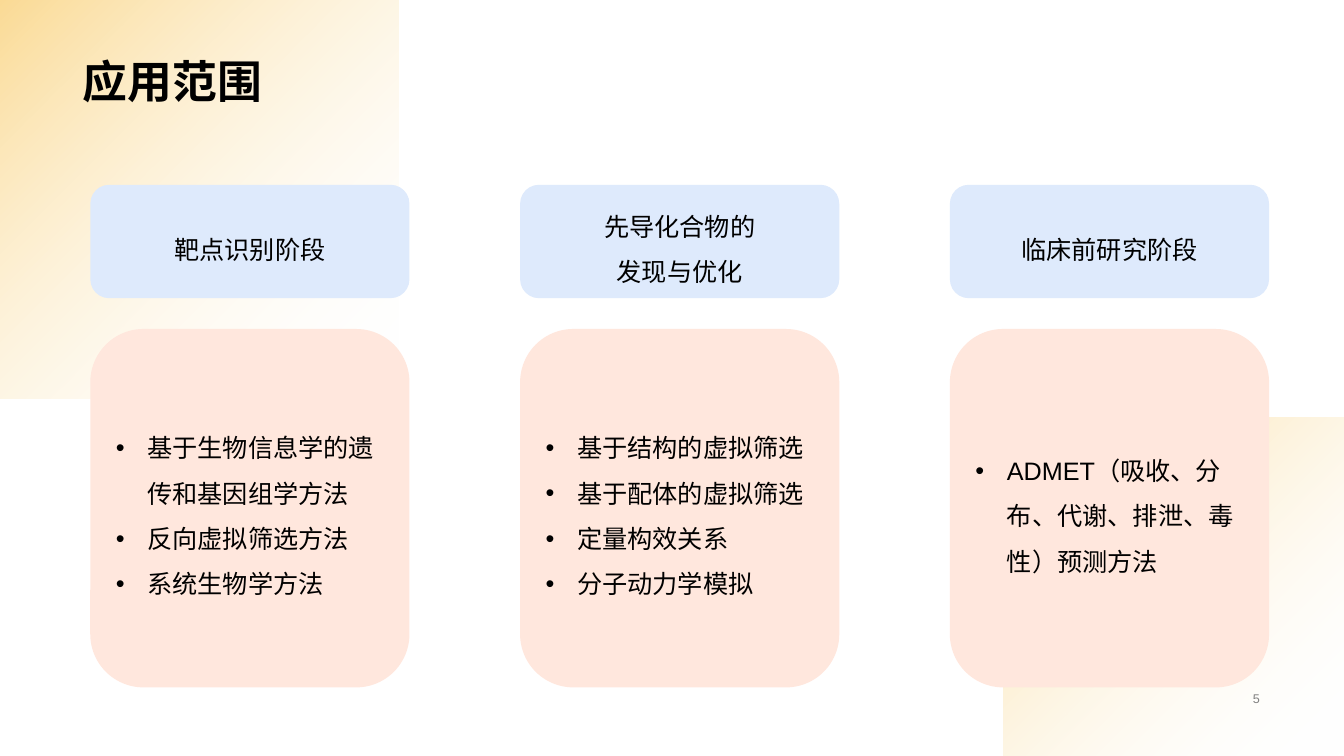
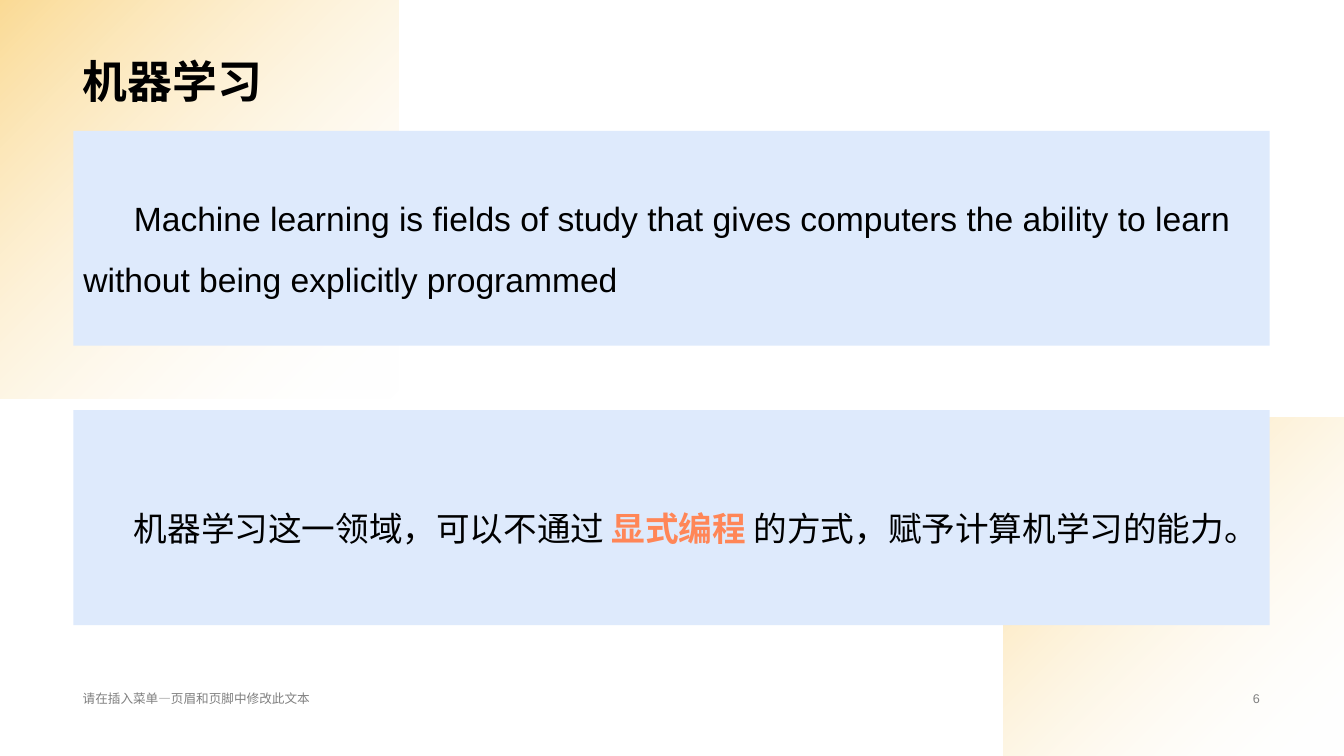
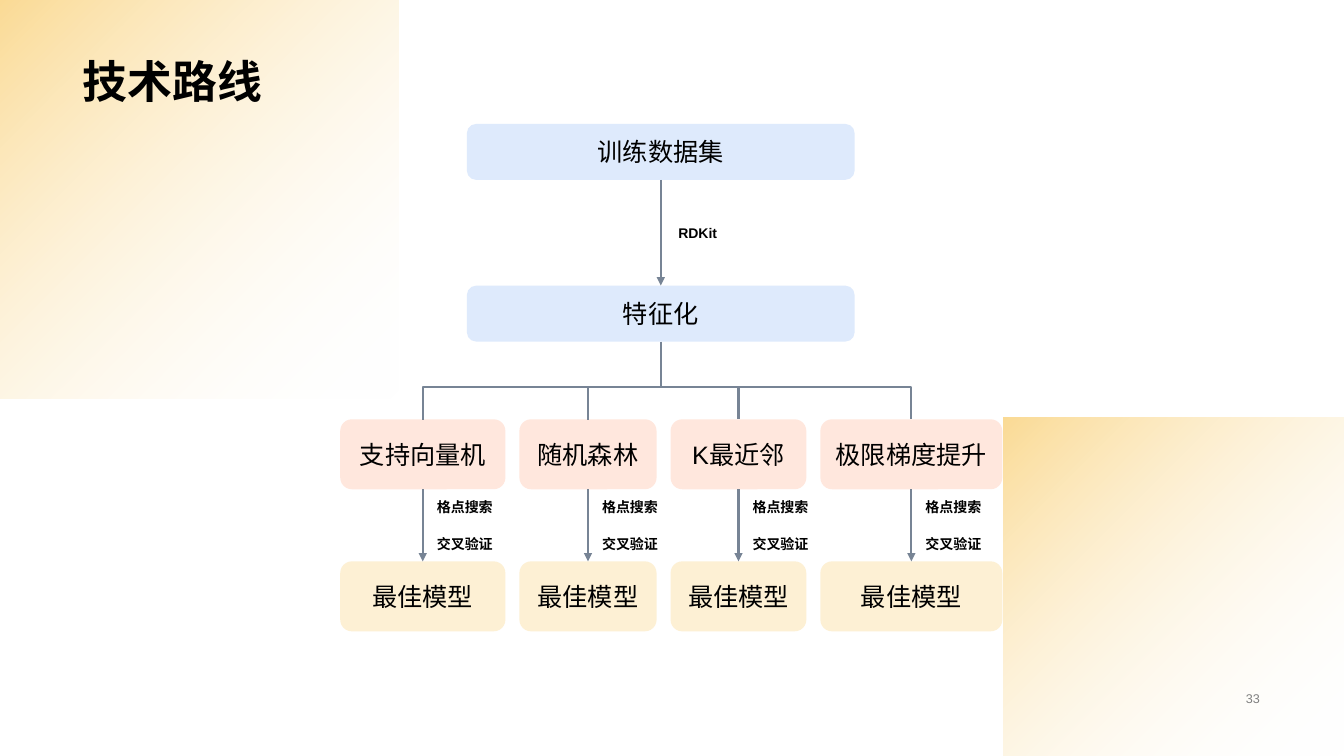
from pptx import Presentation
from pptx.dml.color import RGBColor
from pptx.enum.shapes import MSO_CONNECTOR, MSO_SHAPE
from pptx.enum.text import MSO_ANCHOR, MSO_AUTO_SIZE, PP_ALIGN
from pptx.oxml import parse_xml
from pptx.oxml.ns import nsdecls, qn
from pptx.util import Pt

RECT, ROUND = MSO_SHAPE.RECTANGLE, MSO_SHAPE.ROUNDED_RECTANGLE
STRAIGHT, ELBOW = MSO_CONNECTOR.STRAIGHT, MSO_CONNECTOR.ELBOW
LEFT, CENTER, RIGHT = PP_ALIGN.LEFT, PP_ALIGN.CENTER, PP_ALIGN.RIGHT
MIDDLE, BOTTOM = MSO_ANCHOR.MIDDLE, MSO_ANCHOR.BOTTOM
NO_FIT = MSO_AUTO_SIZE.NONE

FONT = "Arial"
BLACK, GRAY, WHITE = "000000", "808080", "FFFFFF"
BLUE, PINK, CREAM = "DEEAFC", "FFE7DD", "FDF0D4"
GOLD, ORANGE, SLATE = "F7B629", "FF8657", "778495"
SLIDE_W, SLIDE_H = 960, 540
TOP_SITE, BOTTOM_SITE = 0, 2


def rgb(color):
    return RGBColor.from_string(color)


def points(*lengths):
    return [Pt(length) for length in lengths]


def write(frame, paragraphs, size=18, color=BLACK, bold=False, align=LEFT,
          anchor=MIDDLE, spacing=1.0, indent=0, bullet=False):
    """Each paragraph is a string or a list of (text, color, bold) runs."""
    frame.word_wrap = True
    frame.auto_size = NO_FIT
    frame.vertical_anchor = anchor
    for index, content in enumerate(paragraphs):
        paragraph = frame.add_paragraph() if index else frame.paragraphs[0]
        paragraph.alignment = align
        paragraph.line_spacing = spacing
        properties = paragraph._p.get_or_add_pPr()
        if bullet:
            properties.set("marL", str(Pt(indent)))
            properties.set("indent", str(-Pt(indent)))
            properties.append(parse_xml(f'<a:buFont {nsdecls("a")} typeface="{FONT}"/>'))
            properties.append(parse_xml(f'<a:buChar {nsdecls("a")} char="•"/>'))
        elif indent:
            properties.set("indent", str(Pt(indent)))
        runs = [(content, color, bold)] if isinstance(content, str) else content
        for text, run_color, run_bold in runs:
            run = paragraph.add_run()
            run.text = text
            run.font.name = FONT
            run.font.size = Pt(size)
            run.font.bold = run_bold
            run.font.color.rgb = rgb(run_color)


def add_box(slide, kind, box, fill, paragraphs=(), **style):
    shape = slide.shapes.add_shape(kind, *points(*box))
    shape.shadow.inherit = False
    shape.fill.solid()
    shape.fill.fore_color.rgb = rgb(fill)
    shape.line.fill.background()
    write(shape.text_frame, paragraphs, **style)
    return shape


def add_text(slide, box, text, **style):
    frame = slide.shapes.add_textbox(*points(*box)).text_frame
    frame.margin_right = Pt(style.pop("right_margin", 7.2))
    write(frame, [text], **style)


def add_link(slide, start, end=None, kind=STRAIGHT, end_site=TOP_SITE,
             start_site=BOTTOM_SITE, end_point=(0, 0), arrow=False):
    """Line from one shape to another shape or to a free point."""
    link = slide.shapes.add_connector(kind, 0, 0, *points(*end_point))
    link.begin_connect(start, start_site)
    if end is not None:
        link.end_connect(end, end_site)
    link.line.color.rgb = rgb(SLATE)
    link.line.width = Pt(1.5)
    if arrow:
        link.line._get_or_add_ln().append(
            parse_xml(f'<a:tailEnd {nsdecls("a")} type="triangle"/>'))
    link.element.spPr.append(parse_xml(f'<a:effectLst {nsdecls("a")}/>'))
    return link


def add_bridge(slide, first, last, rise):
    """Bent line that leaves the top of one shape and enters the top of another."""
    bridge = add_link(slide, first, last, kind=ELBOW, start_site=TOP_SITE)
    left = first.left + first.width // 2
    right = last.left + last.width // 2
    span, depth = right - left, Pt(1)
    bridge.left, bridge.width = (left + right - depth) // 2, depth
    bridge.top, bridge.height = first.top - span // 2, span
    properties = bridge.element.spPr
    frame = properties.find(qn("a:xfrm"))
    for name, value in (("rot", "5400000"), ("flipH", "1"), ("flipV", "1")):
        frame.set(name, value)
    geometry = properties.find(qn("a:prstGeom"))
    for guides in geometry.findall(qn("a:avLst")):
        geometry.remove(guides)
    geometry.append(parse_xml(
        f'<a:avLst {nsdecls("a")}><a:gd name="adj1" fmla="val {rise * 100000}"/></a:avLst>'))


# Shared background, title and footer
def add_glow(layout, slide, box, shape_id):
    """Gradient square that every slide takes from the layout."""
    glow = add_box(slide, RECT, box, WHITE)
    properties = glow.element.spPr
    solid = properties.find(qn("a:solidFill"))
    properties.replace(solid, parse_xml(
        f'<a:gradFill {nsdecls("a")} rotWithShape="1"><a:gsLst>'
        f'<a:gs pos="0"><a:srgbClr val="{GOLD}"><a:alpha val="50000"/></a:srgbClr></a:gs>'
        f'<a:gs pos="100000"><a:srgbClr val="{WHITE}"><a:alpha val="0"/></a:srgbClr></a:gs>'
        '</a:gsLst><a:path path="circle">'
        '<a:fillToRect r="100000" b="100000"/></a:path></a:gradFill>'))
    glow.element.nvSpPr.cNvPr.set("id", str(shape_id))
    layout.shapes.element.insert(2, glow.element)


def start_slide(prs, title, number, footer=None):
    slide = prs.slides.add_slide(prs.slide_layouts[5])
    heading = slide.shapes.title
    heading.left, heading.top, heading.width, heading.height = points(52, 0, 855, 81)
    write(heading.text_frame, [title], size=32, bold=True, anchor=BOTTOM, spacing=0.9)
    if footer:
        add_text(slide, (52, 491, 326, 16.5), footer, size=9, color=GRAY)
    add_text(slide, (706, 491, 201, 16.5), number, size=9, color=GRAY, align=RIGHT)
    return slide


# Stage columns
def add_stage(slide, box, stage, methods):
    left, top, width, height = box
    head_h, gap = 81, 22
    add_box(slide, ROUND, (left, top, width, head_h), BLUE, stage,
            align=CENTER, spacing=1.5)
    add_box(slide, ROUND, (left, top + head_h + gap, width, height - head_h - gap),
            PINK, methods, spacing=1.5, indent=22.5, bullet=True)


def build_scope(slide, box, stages):
    left, top, width, height = box
    column_w = 228
    pitch = (width - column_w) / (len(stages) - 1)
    for index, (stage, methods) in enumerate(stages):
        add_stage(slide, (left + index * pitch, top, column_w, height), stage, methods)


# Definition panels
def build_definition(slide, box, statements):
    left, top, width, height = box
    panel_h = 153.5
    pitch = (height - panel_h) / (len(statements) - 1)
    for index, statement in enumerate(statements):
        add_box(slide, RECT, (left, top + index * pitch, width, panel_h), BLUE,
                [statement], size=24, spacing=1.5, indent=36)


# Flow chart
def add_model(slide, box, name, checks):
    left, top, width, height = box
    card_h = 50
    model = add_box(slide, ROUND, (left, top, width, card_h), PINK, [name], align=CENTER)
    best = add_box(slide, ROUND, (left, top + height - card_h, width, card_h), CREAM,
                   ["最佳模型"], align=CENTER)
    add_link(slide, model, best, arrow=True)
    for index, check in enumerate(checks):
        add_text(slide, (left + width / 2 + 3, top + card_h - 0.5 + index * 26.5, 55, 26),
                 check, size=10, bold=True, right_margin=0)
    return model


def build_route(slide, box, steps, tool, models, checks):
    left, top, width, height = box
    step_w, step_h, step_pitch = 277, 40, 115.5
    step_left = left + 90.5
    center = step_left + step_w / 2
    data, features = [
        add_box(slide, ROUND, (step_left, top + index * step_pitch, step_w, step_h),
                BLUE, [step], align=CENTER)
        for index, step in enumerate(steps)]
    add_link(slide, data, features, arrow=True)
    add_text(slide, (center + 5.5, top + 70, 50, 16), tool, size=10, bold=True,
             right_margin=0)

    gap, rise, models_top = 10, 24, top + 211
    cards, model_left = [], left
    for name, model_w in models:
        cards.append(add_model(
            slide, (model_left, models_top, model_w, top + height - models_top),
            name, checks))
        model_left += model_w + gap
    add_bridge(slide, cards[0], cards[-1], rise)
    add_bridge(slide, cards[1], cards[-2], rise)
    add_link(slide, features, end_point=(center, models_top - rise))


def main():
    prs = Presentation()
    prs.slide_width, prs.slide_height = points(SLIDE_W, SLIDE_H)

    scope = start_slide(prs, "应用范围", "5")
    add_glow(scope.slide_layout, scope, (0, 0, 284.5, 284.5), 20)
    add_glow(scope.slide_layout, scope, (717, 298, 243, 242), 21)
    build_scope(scope, (64.5, 132, 842, 359), [
        (["靶点识别阶段"],
         ["基于生物信息学的遗传和基因组学方法", "反向虚拟筛选方法", "系统生物学方法"]),
        (["先导化合物的", "发现与优化"],
         ["基于结构的虚拟筛选", "基于配体的虚拟筛选", "定量构效关系", "分子动力学模拟"]),
        (["临床前研究阶段"],
         ["ADMET（吸收、分布、代谢、排泄、毒性）预测方法"]),
    ])

    learning = start_slide(prs, "机器学习", "6", "请在插入菜单—页眉和页脚中修改此文本")
    build_definition(learning, (52.5, 93.5, 854.5, 353), [
        "Machine learning is fields of study that gives computers the ability "
        "to learn without being explicitly programmed",
        [("机器学习这一领域，可以不通过 ", BLACK, False),
         ("显式编程 ", ORANGE, True),
         ("的方式，赋予计算机学习的能力。", BLACK, False)],
    ])

    route = start_slide(prs, "技术路线", "33")
    build_route(route, (243, 88.5, 473, 362.5), ["训练数据集", "特征化"], "RDKit",
                [("支持向量机", 118), ("随机森林", 98), ("K最近邻", 97), ("极限梯度提升", 130)],
                ["格点搜索", "交叉验证"])

    prs.save("out.pptx")


if __name__ == "__main__":
    main()
